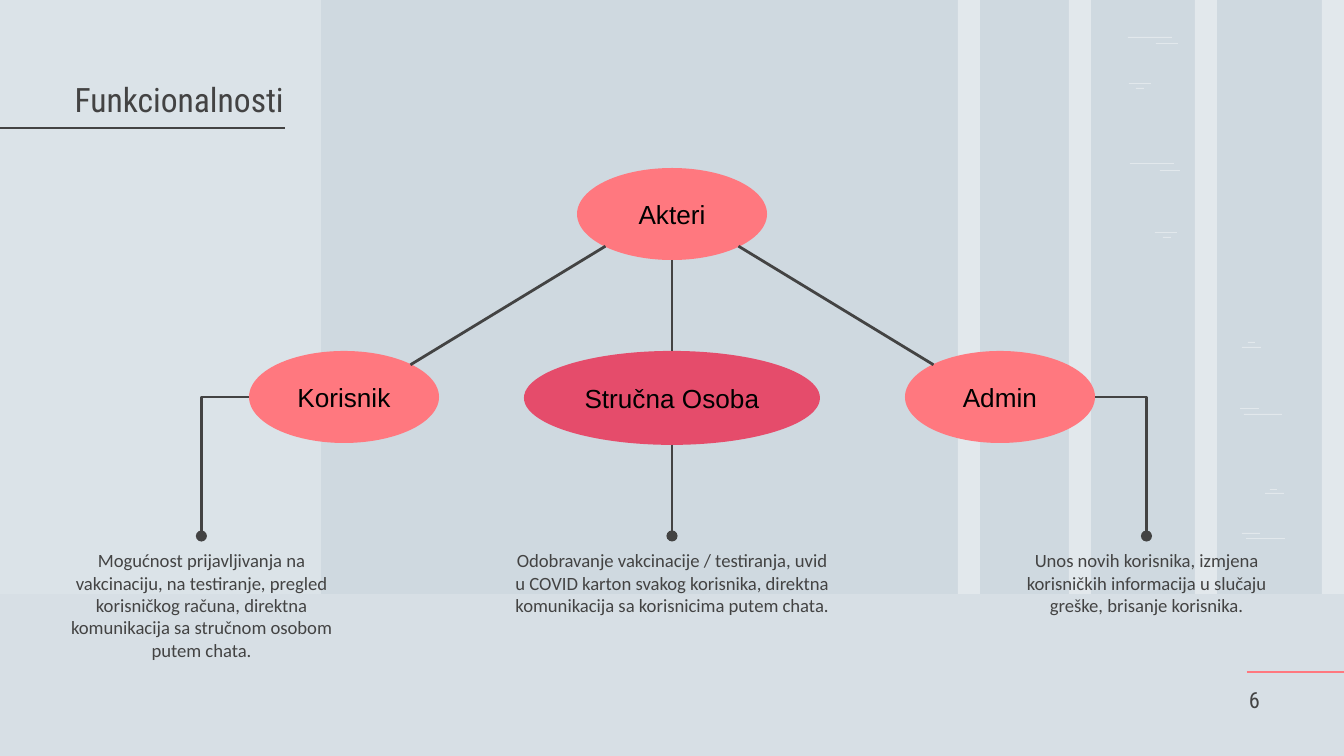
"""Build the "Funkcionalnosti" slide: a tree of actors with their permissions."""
from lxml import etree
from pptx import Presentation
from pptx.dml.color import RGBColor
from pptx.enum.shapes import MSO_CONNECTOR, MSO_SHAPE
from pptx.enum.text import MSO_ANCHOR, MSO_AUTO_SIZE, PP_ALIGN
from pptx.oxml.ns import qn
from pptx.util import Pt

STRAIGHT, ELBOW = MSO_CONNECTOR.STRAIGHT, MSO_CONNECTOR.ELBOW
RECTANGLE, OVAL = MSO_SHAPE.RECTANGLE, MSO_SHAPE.OVAL
TOP, MIDDLE, BOTTOM = MSO_ANCHOR.TOP, MSO_ANCHOR.MIDDLE, MSO_ANCHOR.BOTTOM
LEFT, CENTER, RIGHT = PP_ALIGN.LEFT, PP_ALIGN.CENTER, PP_ALIGN.RIGHT
NO_AUTOFIT = MSO_AUTO_SIZE.NONE
COMPARISON_LAYOUT = 4

WIDTH, HEIGHT = 1344, 756
SCALE = 9144000 / WIDTH
INSET = 13
COLORS = {
    "background": "CFD9E0",
    "white": "FFFFFF",
    "ink": "434343",
    "coral": "FF787F",
    "rose": "E54C6B",
    "black": "000000",
}
SITES = {
    "top": (0, 0.5, 0),
    "top left": (1, 0.15, 0.15),
    "left": (2, 0, 0.5),
    "bottom left": (3, 0.15, 0.85),
    "bottom": (4, 0.5, 1),
    "bottom right": (5, 0.85, 0.85),
    "right": (6, 1, 0.5),
    "top right": (7, 0.85, 0.15),
}

BAR_LEFTS = (958, 1069, 1195, 1322)
STREAKS = (
    (1128, 37, 44), (1156, 43, 22), (1129, 83, 22), (1136, 88, 8),
    (1130, 163, 44), (1160, 170, 20), (1155, 232, 22), (1163, 237, 8),
    (1248, 342, 7), (1242, 347, 19), (1240, 408, 19), (1244, 414, 38),
    (1270, 489, 7), (1265, 493, 19), (1242, 533, 18), (1246, 538, 39),
)
ROLES = (
    ("Korisnik", (249, 351, 190, 92), "coral", "bottom left", "top right", "left",
     (55, 536, 293, 176),
     "Mogućnost prijavljivanja na vakcinaciju, na testiranje, pregled korisničkog "
     "računa, direktna komunikacija sa stručnom osobom putem chata."),
    ("Stručna Osoba", (524, 351, 296, 94), "rose", "bottom", "top", "bottom",
     (500, 536, 344, 132),
     "Odobravanje vakcinacije / testiranja, uvid u COVID karton svakog korisnika, "
     "direktna komunikacija sa korisnicima putem chata."),
    ("Admin", (905, 351, 190, 92), "coral", "bottom right", "top left", "right",
     (1008, 536, 277, 132),
     "Unos novih korisnika, izmjena korisničkih informacija u slučaju greške, "
     "brisanje korisnika."),
)


def emu(px):
    """Turn px into EMU."""
    return round(px * SCALE)


class SlideBuilder:
    """Hold the style and the current slide, and draw each kind of element."""

    def __init__(self, slide):
        """Take the slide and paint its background."""
        self.slide = slide
        self.shapes = slide.shapes
        self.paint(slide.background.fill, "background")

    def color(self, name):
        """Return a named colour."""
        return RGBColor.from_string(COLORS[name])

    def paint(self, fill, name):
        """Give a fill one solid colour."""
        fill.solid()
        fill.fore_color.rgb = self.color(name)

    def set_text(self, shape, text, font, size, color, align, anchor, wrap=True):
        """Put one formatted paragraph into a shape."""
        frame = shape.text_frame
        frame.text = text
        frame.auto_size = NO_AUTOFIT
        frame.word_wrap = wrap
        frame.vertical_anchor = anchor
        frame.margin_left = frame.margin_right = emu(INSET)
        frame.margin_top = frame.margin_bottom = emu(INSET)
        paragraph = frame.paragraphs[0]
        paragraph.alignment = align
        paragraph.space_before = Pt(0)
        properties = paragraph._p.get_or_add_pPr()
        properties.set("marL", "0")
        properties.set("indent", "0")
        etree.SubElement(properties, qn("a:buNone"))
        paragraph.font.name = font
        paragraph.font.size = Pt(size)
        paragraph.font.bold = False
        paragraph.font.color.rgb = self.color(color)

    def panel(self, left, top, width, height, opacity):
        """Draw a translucent white rectangle."""
        panel = self.shapes.add_shape(RECTANGLE, *map(emu, (left, top, width, height)))
        panel.shadow.inherit = False
        self.paint(panel.fill, "white")
        panel.line.fill.background()
        tint = panel.element.spPr.find(f"{qn('a:solidFill')}/{qn('a:srgbClr')}")
        etree.SubElement(tint, qn("a:alpha"), val=str(opacity * 1000))

    def actor(self, name, box, color):
        """Draw a labelled ellipse."""
        actor = self.shapes.add_shape(OVAL, *map(emu, box))
        actor.shadow.inherit = False
        self.paint(actor.fill, color)
        actor.line.fill.background()
        self.set_text(actor, name, "Arial", 14, "black", CENTER, MIDDLE, wrap=False)
        return actor

    def fill_placeholder(self, holder, box, text, *style):
        """Move a placeholder to the front, place it and fill it."""
        self.shapes.element.append(holder.element)
        holder.left, holder.top, holder.width, holder.height = map(emu, box)
        self.set_text(holder, text, *style)

    def label(self, box, text, *style):
        """Draw a text box."""
        self.set_text(self.shapes.add_textbox(*map(emu, box)), text, *style)

    def line(self, start, end, color="ink", kind=STRAIGHT):
        """Draw a connector between two points in EMU."""
        line = self.shapes.add_connector(kind, *start, *end)
        line.line.color.rgb = self.color(color)
        line.line.width = Pt(1.5)
        etree.SubElement(line.element.spPr, qn("a:effectLst"))
        return line

    def rule(self, left, right, y, color):
        """Draw a horizontal rule."""
        self.line((emu(left), emu(y)), (emu(right), emu(y)), color)

    def link(self, source, source_site, target, target_site, kind=STRAIGHT, dot=False):
        """Join two shapes at named sites, with an optional end dot."""
        points, glue = [], []
        for shape, site in ((source, source_site), (target, target_site)):
            index, x, y = SITES[site]
            points.append((round(shape.left + x * shape.width),
                           round(shape.top + y * shape.height)))
            glue.append((shape.shape_id, index))
        link = self.line(*points, kind=kind)
        joints = link.element.find(f"{qn('p:nvCxnSpPr')}/{qn('p:cNvCxnSpPr')}")
        for tag, (shape_id, index) in zip(("a:stCxn", "a:endCxn"), glue):
            etree.SubElement(joints, qn(tag), id=str(shape_id), idx=str(index))
        if kind == ELBOW:
            link.element.spPr.find(qn("a:prstGeom")).set("prst", "bentConnector2")
        if dot:
            etree.SubElement(link.element.spPr.find(qn("a:ln")), qn("a:tailEnd"), type="oval")


def main():
    """Build and save the slide."""
    deck = Presentation()
    deck.slide_width, deck.slide_height = emu(WIDTH), emu(HEIGHT)
    slide = deck.slides.add_slide(deck.slide_layouts[COMPARISON_LAYOUT])
    title, *captions, spare = slide.placeholders
    spare.element.getparent().remove(spare.element)
    builder = SlideBuilder(slide)

    for left in BAR_LEFTS:
        builder.panel(left, 0, 22, 594, 40)
    for left, top, width in STREAKS:
        builder.panel(left, top, width, 1, 40)
    builder.panel(0, 0, 321, 594, 27)
    builder.panel(0, 594, WIDTH, HEIGHT - 594, 17)
    builder.rule(1247, WIDTH, 672, "coral")
    builder.rule(0, 285, 128, "ink")

    builder.fill_placeholder(title, (-3, 89, 300, 43), "Funkcionalnosti",
                             "Roboto Condensed", 18, "ink", RIGHT, BOTTOM)
    builder.label((1236, 668, 47, 58), "6", "Roboto Condensed", 12, "ink", LEFT, BOTTOM)

    actors = builder.actor("Akteri", (577, 168, 190, 92), "coral")
    for caption, role in zip(captions, ROLES):
        name, box, color, root_site, role_site, exit_site, caption_box, duties = role
        actor = builder.actor(name, box, color)
        builder.fill_placeholder(caption, caption_box, duties,
                                 "Calibri", 10, "ink", CENTER, TOP)
        builder.link(actors, root_site, actor, role_site)
        kind = STRAIGHT if exit_site == "bottom" else ELBOW
        builder.link(actor, exit_site, caption, "top", kind, dot=True)

    deck.save("out.pptx")


if __name__ == "__main__":
    main()
